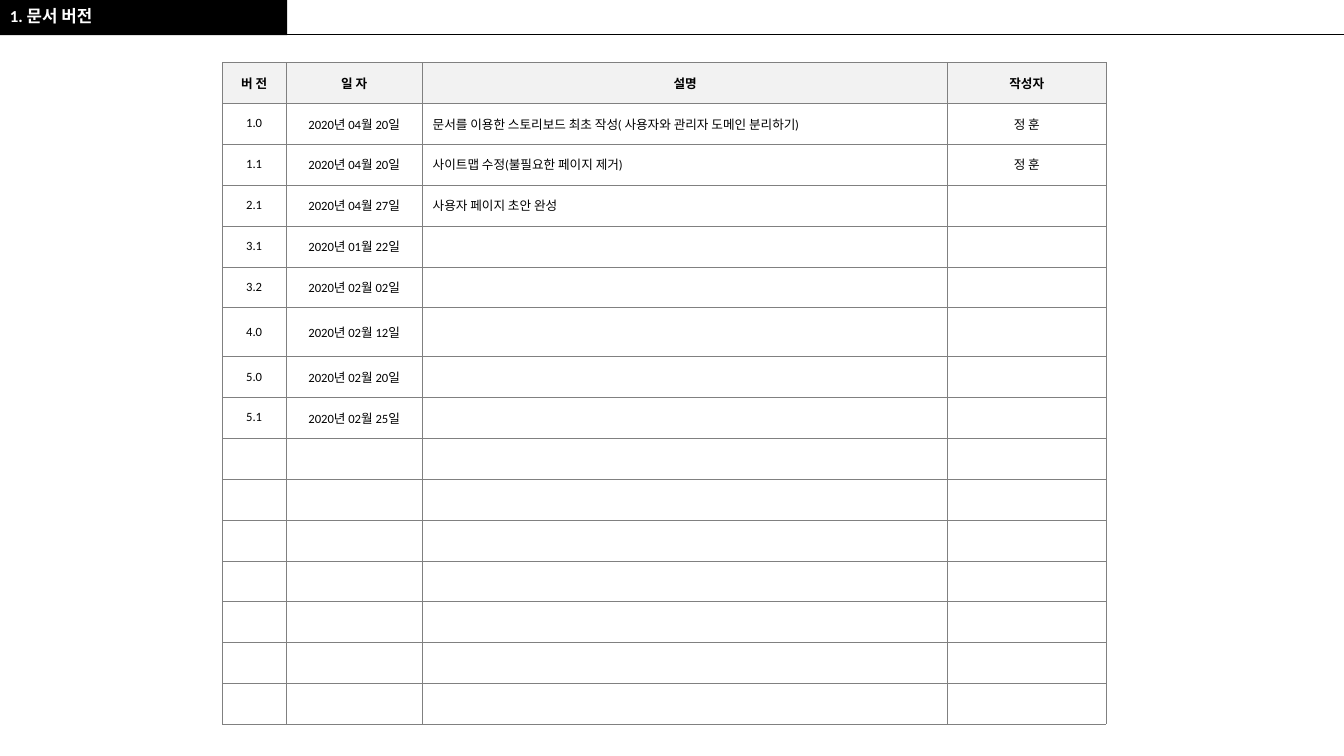
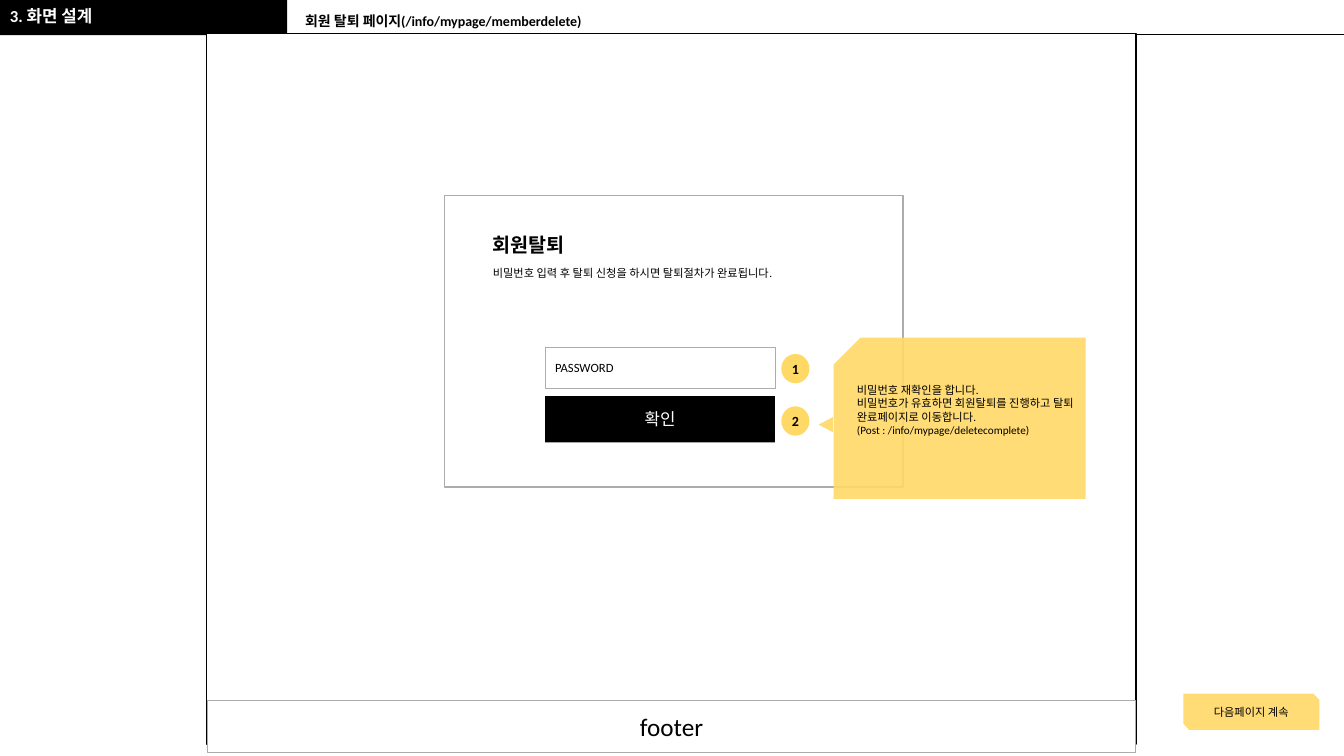
from lxml.etree import SubElement
from pptx import Presentation
from pptx.dml.color import RGBColor
from pptx.enum.shapes import MSO_CONNECTOR, MSO_SHAPE
from pptx.enum.text import MSO_ANCHOR, PP_ALIGN
from pptx.oxml.ns import qn
from pptx.util import Cm, Pt

BLACK = RGBColor(0x00, 0x00, 0x00)
WHITE = RGBColor(0xFF, 0xFF, 0xFF)
GREY = RGBColor(0xAF, 0xAB, 0xAB)
GRID = RGBColor(0x80, 0x80, 0x80)
HEADER = RGBColor(0xF2, 0xF2, 0xF2)
YELLOW = RGBColor(0xFF, 0xD9, 0x66)
FONT = "Calibri"
PAGE_WIDTH, PAGE_HEIGHT = 33.87, 19.05
BAND_WIDTH = 7.24

COLUMN_WIDTHS = (1.59, 3.45, 13.23, 3.99)
ROW_COUNT, ROW_HEIGHT = 16, 1.03
TALL_ROW, TALL_HEIGHT = 6, 1.23
VERSIONS = (
    ("버 전", "일 자", "설명", "작성자"),
    ("1.0", "2020년 04월 20일",
     "문서를 이용한 스토리보드 최초 작성( 사용자와 관리자 도메인 분리하기)", "정 훈"),
    ("1.1", "2020년 04월 20일", "사이트맵 수정(불필요한 페이지 제거)", "정 훈"),
    ("2.1", "2020년 04월 27일", "사용자 페이지 초안 완성"),
    ("3.1", "2020년 01월 22일"),
    ("3.2", "2020년 02월 02일"),
    ("4.0", "2020년 02월 12일"),
    ("5.0", "2020년 02월 20일"),
    ("5.1", "2020년 02월 25일"),
)


def write(frame, lines, size, color=BLACK, bold=False, align=PP_ALIGN.CENTER, spacing=None):
    """Fill a text frame with one paragraph per line."""
    for index, line in enumerate(lines):
        para = frame.add_paragraph() if index else frame.paragraphs[0]
        para.alignment = align
        if spacing:
            para.line_spacing = spacing
        span = para.add_run()
        span.text = line
        span.font.name = FONT
        span.font.size = Pt(size)
        span.font.bold = bold
        span.font.color.rgb = color


def add_box(page, kind, place, fill, line=None, weight=1, opacity=None):
    """Add a flat preset shape; place is left, top, width, height in cm."""
    box = page.shapes.add_shape(kind, *map(Cm, place))
    box.shadow.inherit = False
    box.fill.solid()
    box.fill.fore_color.rgb = fill
    if opacity:
        color = box.fill._xPr.find(".//" + qn("a:srgbClr"))
        SubElement(color, qn("a:alpha"), val=str(opacity * 1000))
    if line is None:
        box.line.fill.background()
    else:
        box.line.color.rgb = line
        box.line.width = Pt(weight)
    box.text_frame.word_wrap = True
    return box


def add_title(page, place, text, size, color):
    box = page.shapes.add_textbox(*map(Cm, place))
    box.text_frame.word_wrap = True
    write(box.text_frame, [text], size, color, True, PP_ALIGN.LEFT, 0.9)


def add_badge(page, top, number):
    badge = add_box(page, MSO_SHAPE.OVAL, (19.69, top, 0.71, 0.74), YELLOW)
    frame = badge.text_frame
    frame.word_wrap = False
    frame.margin_left = frame.margin_right = frame.margin_top = frame.margin_bottom = 0
    write(frame, [number], 10, bold=True)


def add_callout(page, lines):
    """Add a note with a cut top left corner and a pointer on its left."""
    note = add_box(page, MSO_SHAPE.SNIP_1_RECTANGLE, (21.01, 8.51, 6.35, 4.06), YELLOW, opacity=90)
    note._element.spPr.find(qn("a:xfrm")).set("flipH", "1")
    note.text_frame.vertical_anchor = MSO_ANCHOR.TOP
    note.text_frame.margin_top = Cm(0.81)
    write(note.text_frame, lines, 8, align=PP_ALIGN.LEFT)
    pointer = add_box(page, MSO_SHAPE.ISOSCELES_TRIANGLE, (20.62, 10.52, 0.38, 0.36), YELLOW, opacity=90)
    pointer.rotation = 270


def add_page(deck, title):
    """Add a page with the shared black band, rule and title."""
    page = deck.slides.add_slide(deck.slide_layouts[6])
    add_box(page, MSO_SHAPE.RECTANGLE, (0, 0, BAND_WIDTH, 0.89), BLACK)
    rule = page.shapes.add_connector(
        MSO_CONNECTOR.STRAIGHT, Cm(7.01), Cm(0.86), Cm(PAGE_WIDTH), Cm(0.86))
    rule.line.color.rgb = BLACK
    rule.line.width = Pt(0.5)
    SubElement(rule._element.spPr, qn("a:effectLst"))
    return page, lambda: add_title(page, (0, 0.08, BAND_WIDTH, 0.81), title, 12, WHITE)


def style_cell(cell, fill):
    properties = cell._tc.get_or_add_tcPr()
    for side in ("lnL", "lnR", "lnT", "lnB"):
        border = SubElement(properties, qn("a:" + side), w=str(Pt(0.25)))
        solid = SubElement(border, qn("a:solidFill"))
        SubElement(solid, qn("a:srgbClr"), val=str(GRID))
    cell.fill.solid()
    cell.fill.fore_color.rgb = fill
    cell.vertical_anchor = MSO_ANCHOR.MIDDLE


def add_version_table(page):
    height = (ROW_COUNT - 1) * ROW_HEIGHT + TALL_HEIGHT
    table = page.shapes.add_table(
        ROW_COUNT, len(COLUMN_WIDTHS), Cm(5.61), Cm(1.57), Cm(sum(COLUMN_WIDTHS)), Cm(height)).table
    table.horz_banding = False
    for column, width in zip(table.columns, COLUMN_WIDTHS):
        column.width = Cm(width)
    for index, row in enumerate(table.rows):
        row.height = Cm(TALL_HEIGHT if index == TALL_ROW else ROW_HEIGHT)
        for cell in row.cells:
            style_cell(cell, WHITE if index else HEADER)
    for row, texts in enumerate(VERSIONS):
        for column, text in enumerate(texts):
            align = PP_ALIGN.LEFT if row and column == 2 else PP_ALIGN.CENTER
            write(table.cell(row, column).text_frame, [text], 9, bold=row == 0, align=align)


def build_versions(deck):
    page, draw_title = add_page(deck, "1. 문서 버전")
    draw_title()
    add_version_table(page)


def build_member_delete(deck):
    page, draw_title = add_page(deck, "3. 화면 설계")
    rectangle = MSO_SHAPE.RECTANGLE

    # Screen frame and form panel
    add_box(page, rectangle, (5.21, 0.84, 23.42, 17.91), WHITE, BLACK)
    add_box(page, rectangle, (11.2, 4.93, 11.56, 7.34), WHITE, GREY)
    draw_title()
    add_title(page, (7.44, 0.23, 21.77, 0.66), "회원 탈퇴 페이지(/info/mypage/memberdelete)", 10, BLACK)

    # Continuation tag and footer
    tag = add_box(page, MSO_SHAPE.SNIP_2_DIAG_RECTANGLE, (29.82, 17.48, 3.43, 0.91), YELLOW, opacity=90)
    write(tag.text_frame, ["다음페이지 계속"], 8)
    footer = add_box(page, rectangle, (5.23, 17.65, 23.39, 1.32), WHITE, GREY)
    write(footer.text_frame, ["footer"], 18)

    # Form
    password = add_box(page, rectangle, (13.74, 8.76, 5.79, 1.02), WHITE, GREY, 0.25)
    write(password.text_frame, ["PASSWORD"], 9, align=PP_ALIGN.LEFT)
    confirm = add_box(page, rectangle, (13.74, 9.98, 5.79, 1.17), BLACK)
    write(confirm.text_frame, ["확인"], 12, WHITE)
    add_badge(page, 8.92, "1")
    add_badge(page, 10.24, "2")
    heading = add_box(page, rectangle, (12.17, 5.66, 5.79, 1.02), WHITE)
    write(heading.text_frame, ["회원탈퇴"], 14, bold=True, align=PP_ALIGN.LEFT)
    guide = add_box(page, rectangle, (12.17, 6.58, 9.83, 0.61), WHITE)
    write(guide.text_frame, ["비밀번호 입력 후 탈퇴 신청을 하시면 탈퇴절차가 완료됩니다."], 8, align=PP_ALIGN.LEFT)

    # Explanation of the second badge
    add_callout(page, (
        "비밀번호 재확인을 합니다.",
        "비밀번호가 유효하면 회원탈퇴를 진행하고 탈퇴 완료페이지로 이동합니다.",
        "(Post : /info/mypage/deletecomplete)",
    ))


def main():
    deck = Presentation()
    deck.slide_width = Cm(PAGE_WIDTH)
    deck.slide_height = Cm(PAGE_HEIGHT)
    build_versions(deck)
    build_member_delete(deck)
    deck.save("out.pptx")


if __name__ == "__main__":
    main()
